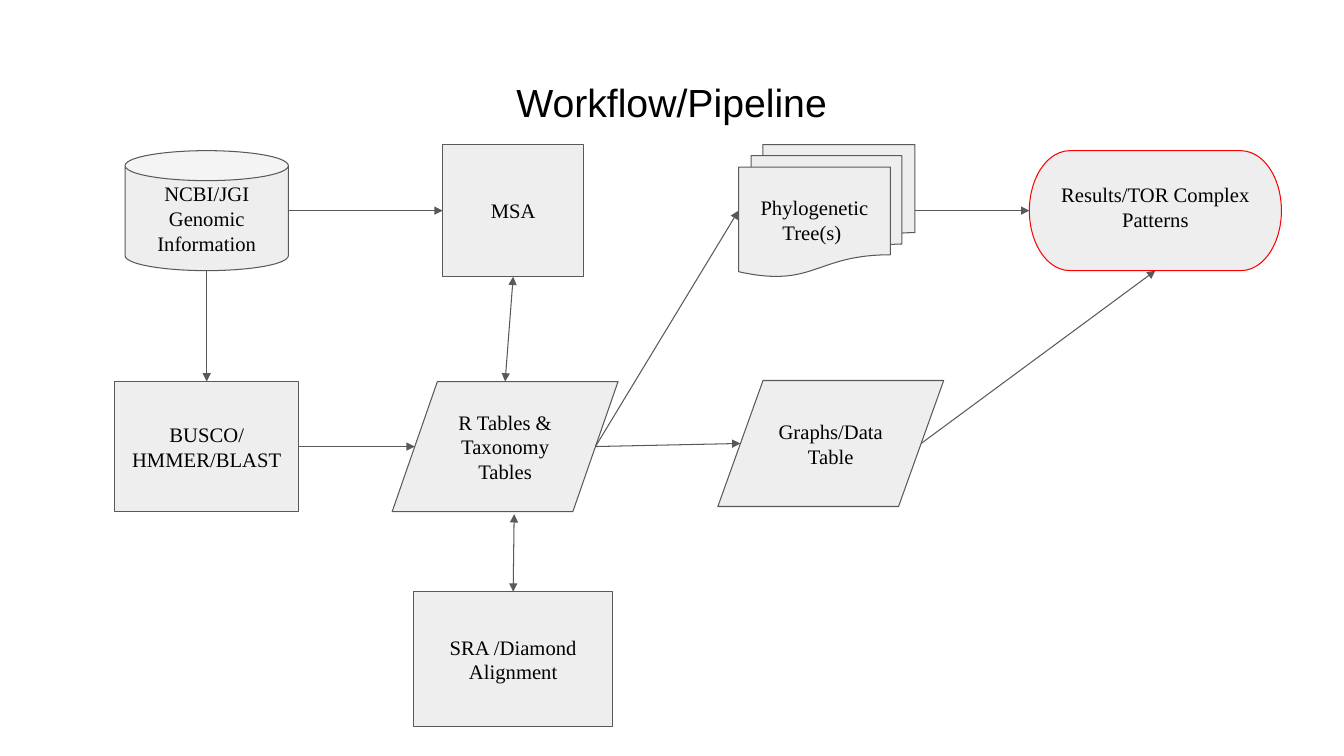
from lxml.etree import SubElement
from pptx import Presentation
from pptx.dml.color import RGBColor as Rgb
from pptx.enum.shapes import MSO_CONNECTOR as Link, MSO_SHAPE as Kind
from pptx.enum.text import MSO_ANCHOR as Anchor, PP_ALIGN as Align
from pptx.oxml.ns import qn
from pptx.util import Inches, Pt

THEME = {
    "fill": Rgb.from_string("EEEEEE"),
    "line": Rgb.from_string("595959"),
    "result": Rgb.from_string("FF0000"),
    "text": Rgb.from_string("000000"),
    "title_font": "Arial",
    "title_size": Pt(28),
    "node_font": "Times New Roman",
    "node_size": Pt(14.7),
    "weight": Pt(0.75),
    "inset": Inches(0.13),
}

# Centres of the grid's columns and rows, in inches
COLUMNS = (2.05, 5.09, 8.2, 11.46)
ROWS = (2.09, 4.43, 6.54)

deck = Presentation()
deck.slide_width, deck.slide_height = Inches(13.33), Inches(7.5)
page = deck.slides.add_slide(deck.slide_layouts[6])


def write(shape, text, font, size, anchor):
    frame = shape.text_frame
    frame.word_wrap = True
    frame.vertical_anchor = anchor
    frame.margin_left = frame.margin_right = THEME["inset"]
    frame.margin_top = frame.margin_bottom = THEME["inset"]
    para = frame.paragraphs[0]
    para.alignment = Align.CENTER
    span = para.add_run()
    span.text = text
    span.font.name, span.font.size = font, size
    span.font.color.rgb = THEME["text"]
    return frame


def port(name, across, down):
    """Point on a node, given as shares of its width and height."""
    node = nodes[name]
    return (node.left + int(node.width * across),
            node.top + int(node.height * down))


# Title
title = page.shapes.add_textbox(Inches(0.45), Inches(0.61), Inches(12.42), Inches(0.84))
title_frame = write(title, "Workflow/Pipeline", THEME["title_font"],
                    THEME["title_size"], Anchor.TOP)
title_frame.margin_top = Inches(0.17)

# Nodes: name, kind, column, row, width, height, shift from the grid centre, text
STEPS = (
    ("search", Kind.RECTANGLE, 0, 1, 1.82, 1.29, (0, 0), "BUSCO/HMMER/BLAST"),
    ("msa", Kind.RECTANGLE, 1, 0, 1.4, 1.31, (0, 0), "MSA"),
    ("trees", Kind.FLOWCHART_MULTIDOCUMENT, 2, 0, 1.75, 1.31, (0, 0), "Phylogenetic Tree(s) "),
    ("reads", Kind.RECTANGLE, 1, 2, 1.97, 1.34, (0, 0), "SRA /Diamond Alignment"),
    ("results", Kind.FLOWCHART_TERMINATOR, 3, 0, 2.5, 1.19, (0, 0),
     "Results/TOR Complex Patterns"),
    ("genomes", Kind.CAN, 0, 0, 1.62, 1.19, (0, 0), "NCBI/JGI Genomic Information"),
    ("tables", Kind.FLOWCHART_DATA, 1, 1, 2.24, 1.29, (-0.08, 0),
     "R Tables & Taxonomy Tables"),
    ("graphs", Kind.FLOWCHART_DATA, 2, 1, 2.24, 1.25, (0.04, -0.03), "Graphs/Data Table"),
)
nodes = {}
for name, kind, column, row, width, height, (shift_x, shift_y), text in STEPS:
    node = page.shapes.add_shape(
        kind,
        Inches(COLUMNS[column] + shift_x - width / 2),
        Inches(ROWS[row] + shift_y - height / 2),
        Inches(width), Inches(height))
    node.shadow.inherit = False
    node.fill.solid()
    node.fill.fore_color.rgb = THEME["fill"]
    node.line.color.rgb = THEME["result" if name == "results" else "line"]
    node.line.width = THEME["weight"]
    frame = write(node, text, THEME["node_font"], THEME["node_size"], Anchor.MIDDLE)
    if name == "results":
        frame.margin_bottom = Inches(0.21)
    nodes[name] = node

# Sides of a node; the slanted sides of a data shape are met a tenth inside
LEFT, RIGHT, TOP, BOTTOM = (0, 0.5), (1, 0.5), (0.5, 0), (0.5, 1)
SLANT_LEFT, SLANT_RIGHT, BELOW = (0.1, 0.5), (0.9, 0.5), (0.54, 1.02)

# Arrows: start, its side, end, its side, heads at both ends
ARROWS = (
    ("genomes", BOTTOM, "search", TOP, False),
    ("genomes", RIGHT, "msa", LEFT, False),
    ("search", RIGHT, "tables", SLANT_LEFT, False),
    ("msa", BOTTOM, "tables", TOP, True),
    ("tables", BELOW, "reads", TOP, True),
    ("tables", SLANT_RIGHT, "trees", LEFT, False),
    ("tables", SLANT_RIGHT, "graphs", SLANT_LEFT, False),
    ("trees", RIGHT, "results", LEFT, False),
    ("graphs", SLANT_RIGHT, "results", BOTTOM, False),
)
for start, start_side, end, end_side, both in ARROWS:
    arrow = page.shapes.add_connector(
        Link.STRAIGHT, *port(start, *start_side), *port(end, *end_side))
    arrow.line.color.rgb = THEME["line"]
    arrow.line.width = THEME["weight"]
    outline = arrow.line._get_or_add_ln()
    for tag in ("a:headEnd", "a:tailEnd") if both else ("a:tailEnd",):
        SubElement(outline, qn(tag), type="triangle")
    SubElement(arrow._element.spPr, qn("a:effectLst"))

deck.save("out.pptx")
